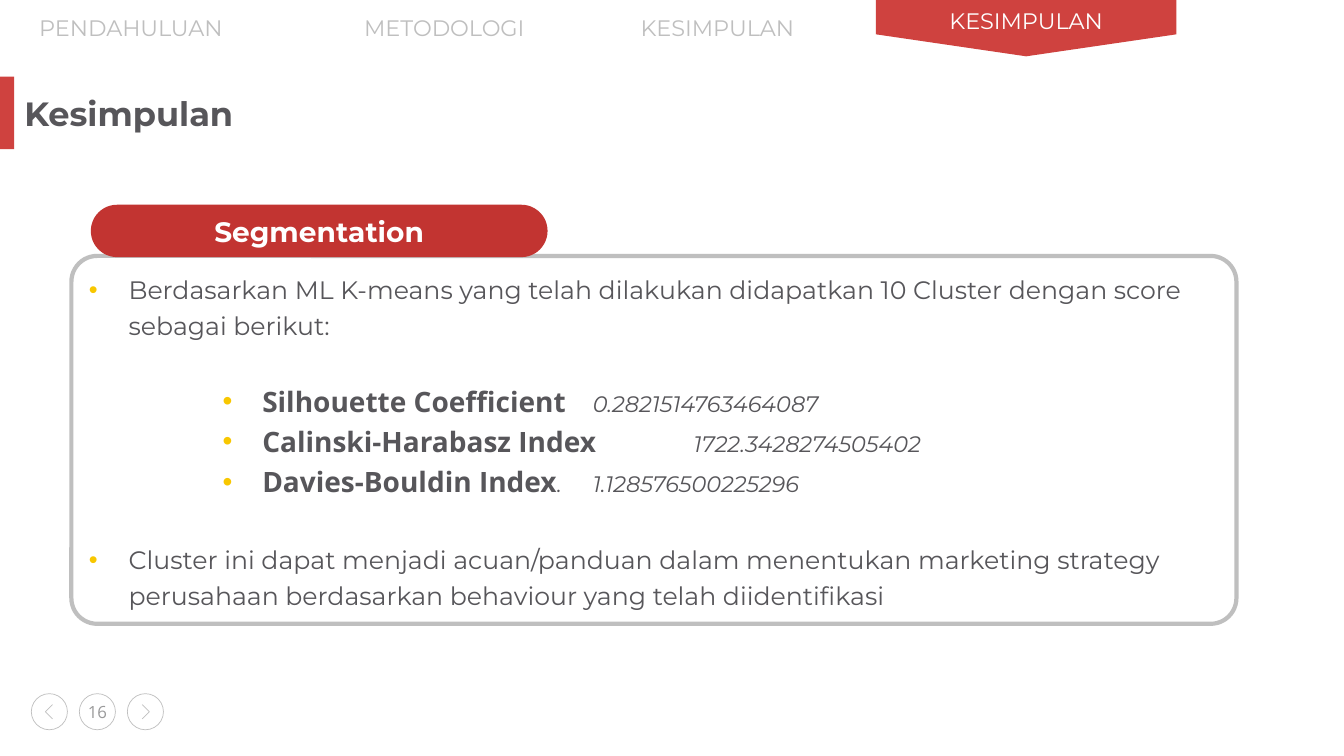
from lxml import etree
from pptx import Presentation
from pptx.dml.color import RGBColor
from pptx.enum.shapes import MSO_SHAPE
from pptx.enum.text import MSO_ANCHOR, MSO_AUTO_SIZE, PP_ALIGN
from pptx.oxml.ns import qn
from pptx.util import Cm, Pt

CENTER, LEFT = PP_ALIGN.CENTER, PP_ALIGN.LEFT
MIDDLE, TOP = MSO_ANCHOR.MIDDLE, MSO_ANCHOR.TOP
ROUNDED, OVAL = MSO_SHAPE.ROUNDED_RECTANGLE, MSO_SHAPE.OVAL
RECTANGLE, PENTAGON = MSO_SHAPE.RECTANGLE, MSO_SHAPE.PENTAGON
NO_AUTOFIT = MSO_AUTO_SIZE.NONE

RED, DARK_RED, GRAY, INK = "CF423F", "C23431", "BFBFBF", "57565A"
WHITE, YELLOW, PAGE_GRAY = "FFFFFF", "F8C700", "9A9A9B"
SANS, OPEN = "Montserrat", "Open Sans"

TITLE = "Kesimpulan"
HEADING = "Segmentation"
PAGE = "16"
TABS = [("PENDAHULUAN", 3.3), ("METODOLOGI", 11.2), ("KESIMPULAN", 18.08)]
ACTIVE_TAB = ("KESIMPULAN", 25.86)

BODY = dict(name=SANS, size=Pt(18), bold=False, italic=False)
METRIC = dict(name=OPEN, size=Pt(20), bold=True, italic=False)
SCORE = dict(name=SANS, size=Pt(16), bold=False, italic=True)
TAB = dict(name=SANS, size=Pt(16))

POINTS = [
    (1, 0, [("Berdasarkan ML K-means yang telah dilakukan didapatkan 10 Cluster "
             "dengan score sebagai berikut:", BODY)]),
    (4.37, 26, [("Silhouette Coefficient\t", METRIC), ("0.2821514763464087", SCORE)]),
    (4.37, 0, [("Calinski-Harabasz Index\t", METRIC), ("1722.3428274505402", SCORE)]),
    (4.37, 0, [("Davies-Bouldin Index", METRIC), (".\t1.128576500225296", SCORE)]),
    (1, 28.5, [("Cluster ini dapat menjadi acuan/panduan dalam menentukan marketing "
                "strategy perusahaan berdasarkan behaviour yang telah diidentifikasi", BODY)]),
]

TAB_LENGTH, TAB_DEPTH = 7.57, 1.42
BUTTON_LEFT, BUTTON_TOP, BUTTON_SIZE, BUTTON_STEP = 0.79, 17.48, 0.91, 1.21


def rgb(code):
    return RGBColor.from_string(code)


def apply(target, values):
    for key, value in values.items():
        setattr(target, key, value)


def paint(shape, fill=None, line=None, width=0.5):
    shape.shadow.inherit = False
    if fill:
        shape.fill.solid()
        shape.fill.fore_color.rgb = rgb(fill)
    else:
        shape.fill.background()
    if line:
        shape.line.color.rgb = rgb(line)
        shape.line.width = Pt(width)
    else:
        shape.line.fill.background()


def add_run(paragraph, text, font, color):
    run = paragraph.add_run()
    run.text = text
    apply(run.font, font)
    run.font.color.rgb = rgb(color)


def write(shape, text, font, color, align=CENTER, spacing=1.0):
    apply(shape.text_frame, dict(word_wrap=True, auto_size=NO_AUTOFIT, vertical_anchor=MIDDLE))
    paragraph = shape.text_frame.paragraphs[0]
    apply(paragraph, dict(alignment=align, line_spacing=spacing))
    add_run(paragraph, text, font, color)


def add_bullet(paragraph, indent):
    properties = paragraph._p.get_or_add_pPr()
    for key, value in dict(marL=Cm(indent), indent=-Cm(1), defTabSz=Cm(2.54)).items():
        properties.set(key, str(int(value)))
    color = etree.SubElement(properties, qn("a:buClr"))
    etree.SubElement(color, qn("a:srgbClr"), val=YELLOW)
    etree.SubElement(properties, qn("a:buFont"), typeface="Arial")
    etree.SubElement(properties, qn("a:buChar"), char="•")


def add_tabs(shapes):
    label, center = ACTIVE_TAB
    active = shapes.add_shape(PENTAGON, Cm(center - TAB_DEPTH / 2), Cm((TAB_DEPTH - TAB_LENGTH) / 2),
                              Cm(TAB_DEPTH), Cm(TAB_LENGTH))
    active.rotation = 90
    active.adjustments[0] = 0.39
    paint(active, RED)
    write(active, label, TAB, WHITE, spacing=0.9)
    active.text_frame._txBody.bodyPr.set("vert", "vert270")
    for label, center in TABS:
        tab = shapes.add_textbox(Cm(center - 3), Cm(0.28), Cm(6), Cm(0.91))
        write(tab, label, TAB, GRAY, spacing=0.9)


def add_title(shapes):
    accent = shapes.add_shape(RECTANGLE, 0, Cm(1.93), Cm(0.36), Cm(1.83))
    paint(accent, RED)
    title = shapes.title
    apply(title, dict(left=Cm(0.36), top=Cm(2.21), width=Cm(24.31), height=Cm(1.27)))
    write(title, TITLE, dict(name=SANS, size=Pt(24), bold=True), INK, LEFT)


def add_conclusion(shapes):
    panel = shapes.add_shape(ROUNDED, Cm(1.8), Cm(6.45), Cm(29.36), Cm(9.27))
    panel.adjustments[0] = 0.07
    paint(panel, line=GRAY, width=3)
    frame = panel.text_frame
    apply(frame, dict(word_wrap=True, auto_size=NO_AUTOFIT, vertical_anchor=TOP))
    for number, (indent, gap, parts) in enumerate(POINTS):
        paragraph = frame.add_paragraph() if number else frame.paragraphs[0]
        apply(paragraph, dict(alignment=LEFT, line_spacing=1.2, space_before=Pt(gap)))
        add_bullet(paragraph, indent)
        for text, font in parts:
            add_run(paragraph, text, font, INK)
    heading = shapes.add_shape(ROUNDED, Cm(2.29), Cm(5.16), Cm(11.51), Cm(1.32))
    heading.adjustments[0] = 0.5
    paint(heading, DARK_RED)
    write(heading, HEADING, dict(name=SANS, size=Pt(20), bold=True), WHITE)


def add_navigation(shapes):
    middle = BUTTON_TOP + BUTTON_SIZE / 2
    for number, direction in enumerate((-1, 0, 1)):
        left = BUTTON_LEFT + number * BUTTON_STEP
        button = shapes.add_shape(OVAL, Cm(left), Cm(BUTTON_TOP), Cm(BUTTON_SIZE), Cm(BUTTON_SIZE))
        paint(button, line=GRAY)
        if direction:
            center = left + BUTTON_SIZE / 2
            tip, tail = center + direction * 0.1, center - direction * 0.08
            outline = shapes.build_freeform(Cm(tail), Cm(middle - 0.18))
            outline.add_line_segments([(Cm(tip), Cm(middle)), (Cm(tail), Cm(middle + 0.18))],
                                      close=False)
            paint(outline.convert_to_shape(), line=GRAY)
        else:
            write(button, PAGE, dict(name=OPEN, size=Pt(12)), PAGE_GRAY)
            apply(button.text_frame, dict(margin_left=0, margin_right=0, margin_top=0,
                                          margin_bottom=0, word_wrap=False))


def main():
    deck = Presentation()
    apply(deck, dict(slide_width=Cm(33.87), slide_height=Cm(19.05)))
    shapes = deck.slides.add_slide(deck.slide_layouts[5]).shapes
    for add_part in (add_navigation, add_tabs, add_title, add_conclusion):
        add_part(shapes)
    deck.save("out.pptx")


if __name__ == "__main__":
    main()
